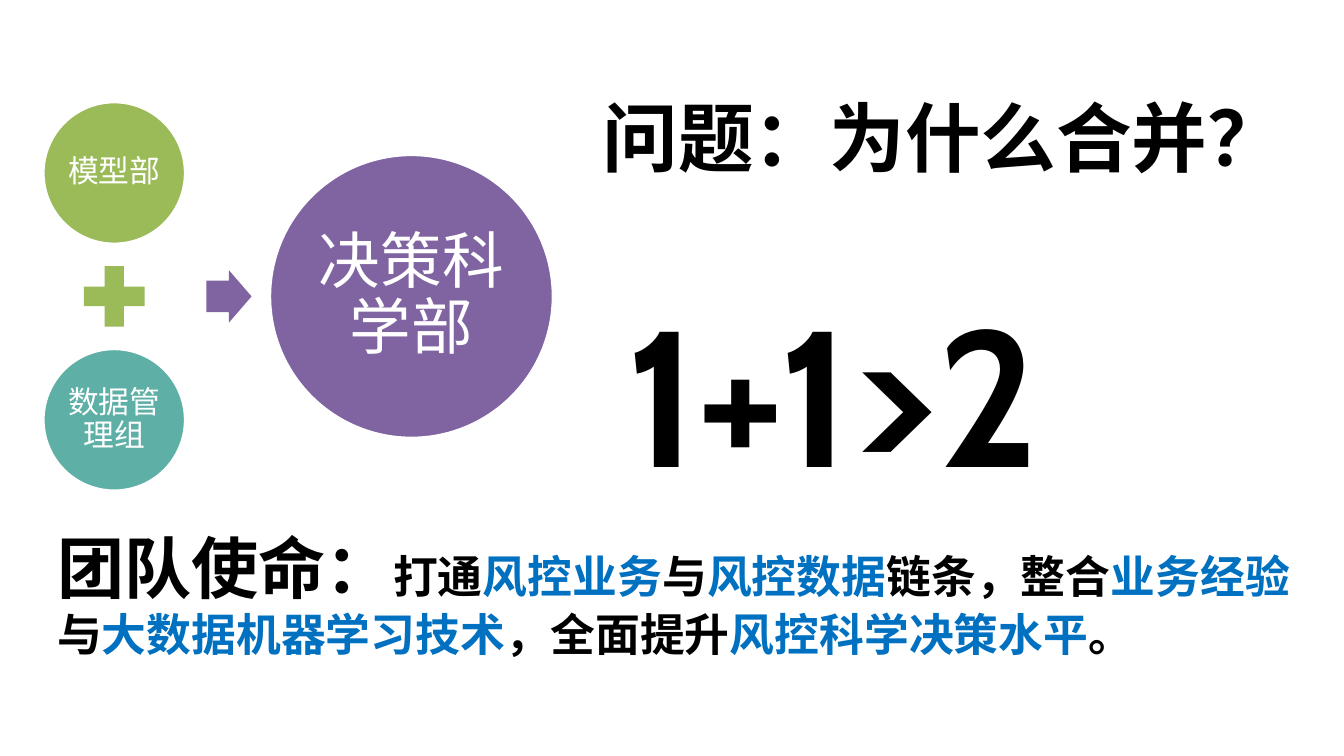
from dataclasses import dataclass

from lxml import etree
from pptx import Presentation
from pptx.dml.color import RGBColor
from pptx.enum.shapes import MSO_SHAPE
from pptx.enum.text import MSO_ANCHOR, MSO_AUTO_SIZE, PP_ALIGN
from pptx.oxml.ns import qn
from pptx.util import Cm, Pt

CIRCLE = MSO_SHAPE.OVAL
PLUS = MSO_SHAPE.MATH_PLUS
ARROW = MSO_SHAPE.RIGHT_ARROW
MIDDLE = MSO_ANCHOR.MIDDLE
GROW = MSO_AUTO_SIZE.SHAPE_TO_FIT_TEXT
CENTER = PP_ALIGN.CENTER


@dataclass(frozen=True)
class Theme:
    green: str = "9BBB59"
    teal: str = "5EAFA6"
    purple: str = "8064A2"
    white: str = "FFFFFF"
    ink: str = "000000"
    accent: str = "0070C0"
    heading_font: str = "Noto Sans CJK SC"
    diagram_font: str = "Noto Sans CJK JP"
    formula_font: str = "Cabin"
    part_size: int = 22
    mission_size: int = 32
    result_size: int = 44
    mission_label_size: int = 48
    question_size: int = 54
    formula_size: int = 138


THEME = Theme()
MISSION = [
    ("打通", False), ("风控业务", True), ("与", False), ("风控数据", True),
    ("链条，整合", False), ("业务经验", True), ("与", False),
    ("大数据机器学习技术", True), ("，全面提升", False),
    ("风控科学决策水平", True), ("。", False),
]


def style_paragraph(paragraph, face, size, color, bold=False):
    font = paragraph.font
    font.name = face
    font.size = Pt(size)
    font.bold = bold
    font.color.rgb = RGBColor.from_string(color)
    defaults = paragraph._p.pPr.find(qn("a:defRPr"))
    etree.SubElement(defaults, qn("a:ea")).set("typeface", face)


def add_figure(slide, kind, left, top, width, height, color):
    figure = slide.shapes.add_shape(kind, Cm(left), Cm(top), Cm(width), Cm(height))
    figure.shadow.inherit = False
    figure.fill.solid()
    figure.fill.fore_color.rgb = RGBColor.from_string(color)
    figure.line.fill.background()
    return figure


def add_department(slide, name, left, top, diameter, color, size, inset):
    department = add_figure(slide, CIRCLE, left, top, diameter, diameter, color)
    department.line.color.rgb = RGBColor.from_string(THEME.white)
    department.line.width = Pt(2)
    frame = department.text_frame
    frame.word_wrap = True
    frame.vertical_anchor = MIDDLE
    frame.margin_left = frame.margin_right = Cm(inset)
    frame.margin_top = frame.margin_bottom = Cm(inset)
    paragraph = frame.paragraphs[0]
    paragraph.text = name
    paragraph.alignment = CENTER
    paragraph.line_spacing = 0.9
    style_paragraph(paragraph, THEME.diagram_font, size, THEME.white)


def add_merger(slide, left, top, width, height):
    part, plus, result = 3.58, 2.08, 7.14
    arrow_width, arrow_height, arrow_gap = 1.14, 1.32, 0.53
    middle = top + height / 2
    parts = [("模型部", top, THEME.green), ("数据管理组", top + height - part, THEME.teal)]
    for name, part_top, color in parts:
        add_department(slide, name, left, part_top, part, color, THEME.part_size, 0.08)
    add_figure(slide, PLUS, left + (part - plus) / 2, middle - plus / 2,
               plus, plus, THEME.green)
    arrow = add_figure(slide, ARROW, left + part + arrow_gap, middle - arrow_height / 2,
                       arrow_width, arrow_height, THEME.purple)
    arrow.adjustments[0] = 0.6
    arrow.adjustments[1] = 0.5
    add_department(slide, "决策科学部", left + width - result, middle - result / 2,
                   result, THEME.purple, THEME.result_size, 0.15)


def add_statement(slide, left, top, width, height, face, size, text="", wrap=False):
    box = slide.shapes.add_textbox(Cm(left), Cm(top), Cm(width), Cm(height))
    frame = box.text_frame
    frame.word_wrap = wrap
    frame.auto_size = GROW
    paragraph = frame.paragraphs[0]
    paragraph.text = text
    style_paragraph(paragraph, face, size, THEME.ink, bold=True)
    return paragraph


def add_mission(slide, left, top, width, height):
    paragraph = add_statement(slide, left, top, width, height,
                              THEME.heading_font, THEME.mission_size, wrap=True)
    label = paragraph.add_run()
    label.text = "团队使命："
    label.font.size = Pt(THEME.mission_label_size)
    for words, stressed in MISSION:
        phrase = paragraph.add_run()
        phrase.text = words
        if stressed:
            phrase.font.color.rgb = RGBColor.from_string(THEME.accent)


def main():
    deck = Presentation()
    deck.slide_width, deck.slide_height = Cm(33.87), Cm(19.05)
    slide = deck.slides.add_slide(deck.slide_layouts[6])
    add_statement(slide, 14.94, 2.16, 17.83, 2.57, THEME.heading_font,
                  THEME.question_size, "问题：为什么合并？")
    add_merger(slide, 1.09, 2.57, 12.85, 9.8)
    add_statement(slide, 15.54, 6.78, 16.87, 6.15, THEME.formula_font,
                  THEME.formula_size, "1+1>2")
    add_mission(slide, 1.19, 13.13, 31.72, 3.68)
    deck.save("out.pptx")


if __name__ == "__main__":
    main()
